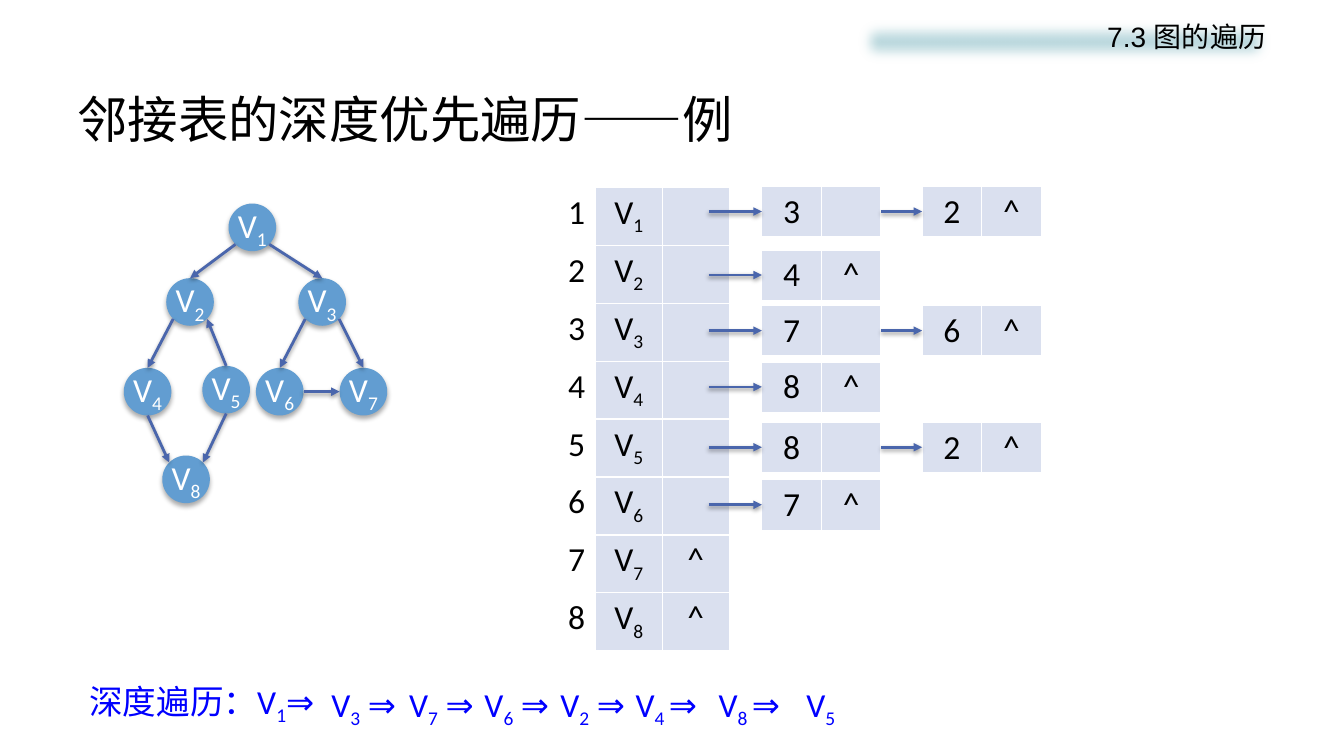
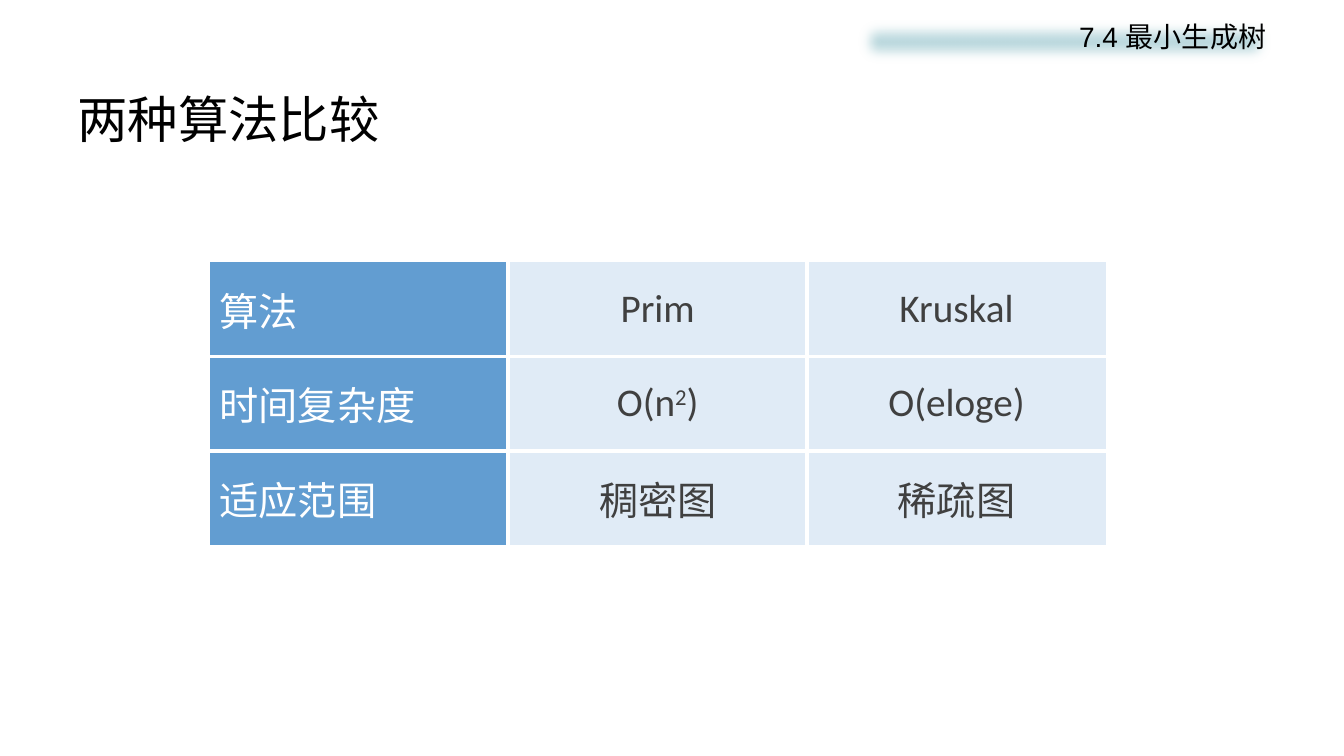
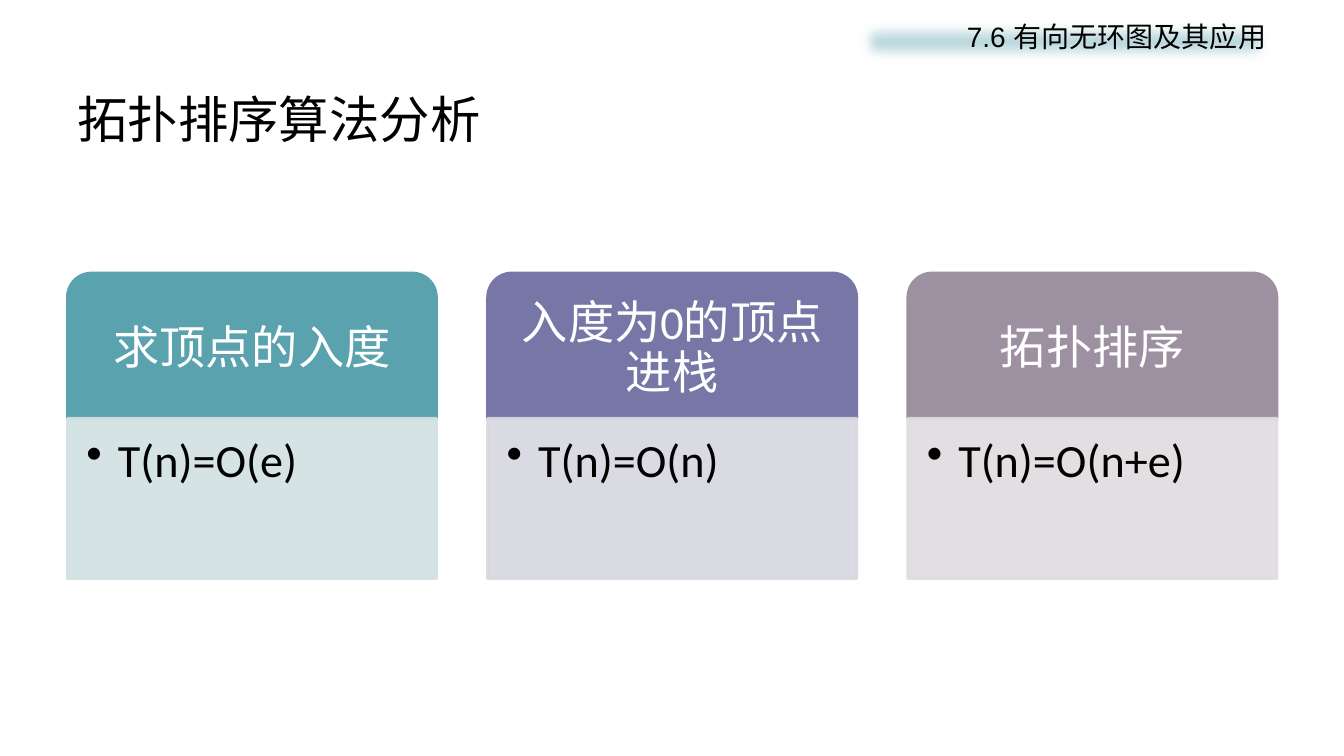
from pptx import Presentation
from pptx.dml.color import RGBColor
from pptx.enum.shapes import MSO_CONNECTOR, MSO_SHAPE
from pptx.enum.text import MSO_ANCHOR, PP_ALIGN
from pptx.oxml import parse_xml
from pptx.oxml.ns import nsdecls, qn
from pptx.util import Cm, Pt

BLACK = RGBColor(0x00, 0x00, 0x00)
WHITE = RGBColor(0xFF, 0xFF, 0xFF)
GREY = RGBColor(0x40, 0x40, 0x40)
BLUE = RGBColor(0x00, 0x00, 0xFF)
BAND = RGBColor(0xBD, 0xDA, 0xDF)
NODE = RGBColor(0x62, 0x9D, 0xD1)
ARROW = RGBColor(0x4A, 0x66, 0xAC)
LIST_CELL = RGBColor(0xDA, 0xE0, 0xEF)
COMPARE_CELL = RGBColor(0xE0, 0xEB, 0xF6)
TEAL = RGBColor(0x5A, 0xA2, 0xAE)
PALE_TEAL = RGBColor(0xD2, 0xE0, 0xE3)
VIOLET = RGBColor(0x76, 0x77, 0xA6)
PALE_VIOLET = RGBColor(0xD7, 0xD7, 0xE1)
MAUVE = RGBColor(0x9D, 0x90, 0xA0)
PALE_MAUVE = RGBColor(0xDF, 0xDB, 0xDF)

TITLE_FONT = "Noto Sans CJK SC"
BODY_FONT = "Calibri"
HEADER_FONT = "Arial"

SUBSCRIPT = -25000
SUPERSCRIPT = 30000

TOP = (0, -1)
BOTTOM = (0, 1)
LEFT = (-1, 0)
RIGHT = (1, 0)
UPPER_LEFT = (-0.71, -0.71)
UPPER_RIGHT = (0.71, -0.71)
LOWER_LEFT = (-0.71, 0.71)
LOWER_RIGHT = (0.71, 0.71)

RADIUS = 0.6
NODES = {
    1: (6.36, 5.73), 2: (4.79, 7.61), 3: (8.12, 7.61), 4: (3.72, 9.87),
    5: (5.7, 9.82), 6: (7.05, 9.87), 7: (9.16, 9.87), 8: (4.69, 12.08),
}
EDGES = [
    (1, LOWER_LEFT, 2, TOP), (2, LOWER_LEFT, 4, TOP), (5, TOP, 2, LOWER_RIGHT),
    (4, BOTTOM, 8, UPPER_LEFT), (5, BOTTOM, 8, UPPER_RIGHT),
    (1, LOWER_RIGHT, 3, TOP), (3, LOWER_LEFT, 6, TOP),
    (3, LOWER_RIGHT, 7, TOP), (6, RIGHT, 7, LEFT),
]
NEIGHBOURS = [(4.7, "32"), (6.3, "4"), (7.7, "76"),
              (9.12, "8"), (10.64, "82"), (12.09, "7")]
VISITS = [
    (8.1, "V|3| ⇒"), (10.06, "V|7| ⇒"), (11.96, "V|6| ⇒"), (13.87, "V|2| ⇒"),
    (15.77, "V|4 |⇒"), (17.86, "V|8 |⇒"), (20.07, "V|5"),
]
COMPARISON = [
    ("算法", "Prim", "Kruskal"),
    ("时间复杂度", "O(n|2|)", "O(eloge)"),
    ("适应范围", "稠密图", "稀疏图"),
]
STEPS = [
    ("求顶点的入度", "T(n)=O(e)", TEAL, PALE_TEAL),
    ("入度为0的顶点进栈", "T(n)=O(n)", VIOLET, PALE_VIOLET),
    ("拓扑排序", "T(n)=O(n+e)", MAUVE, PALE_MAUVE),
]


def write(para, text, size, color, font=BODY_FONT, align=PP_ALIGN.LEFT, shift=SUBSCRIPT):
    """Parts between bars are raised or lowered by shift."""
    para.alignment = align
    para.font.size = Pt(size)
    para.font.name = font
    para.font.color.rgb = color
    for index, part in enumerate(text.split("|")):
        if part:
            span = para.add_run()
            span.text = part
            if index % 2:
                span._r.get_or_add_rPr().set("baseline", str(shift))


def add_text(page, left, top, width, height, text, size, color,
             font=BODY_FONT, anchor=MSO_ANCHOR.TOP):
    box = page.shapes.add_textbox(Cm(left), Cm(top), Cm(width), Cm(height))
    frame = box.text_frame
    frame.word_wrap = True
    frame.vertical_anchor = anchor
    write(frame.paragraphs[0], text, size, color, font)


def add_block(page, kind, left, top, width, height, fill):
    block = page.shapes.add_shape(kind, Cm(left), Cm(top), Cm(width), Cm(height))
    block.shadow.inherit = False
    block.fill.solid()
    block.fill.fore_color.rgb = fill
    block.line.fill.background()
    block.text_frame.word_wrap = True
    return block


def set_effect(shape, effect):
    properties = shape._element.spPr
    for old in properties.findall(qn("a:effectLst")):
        properties.remove(old)
    properties.append(parse_xml(f'<a:effectLst {nsdecls("a")}>{effect}</a:effectLst>'))


def add_shadow(shape, blur, distance, alpha):
    set_effect(shape, f'<a:outerShdw blurRad="{Pt(blur)}" dist="{Pt(distance)}" '
                      f'dir="5400000" rotWithShape="0"><a:srgbClr val="{BLACK}">'
                      f'<a:alpha val="{alpha * 1000}"/></a:srgbClr></a:outerShdw>')


def add_arrow(page, start, end):
    arrow = page.shapes.add_connector(
        MSO_CONNECTOR.STRAIGHT, *(Cm(length) for length in (*start, *end)))
    arrow.line.color.rgb = ARROW
    arrow.line.width = Pt(2)
    outline = arrow._element.spPr.find(qn("a:ln"))
    outline.append(parse_xml(f'<a:tailEnd {nsdecls("a")} type="triangle"/>'))
    add_shadow(arrow, 3.1, 1.6, 38)


def add_grid(page, left, top, rows, columns, cell_width, cell_height):
    table = page.shapes.add_table(
        rows, columns, Cm(left), Cm(top),
        Cm(cell_width * columns), Cm(cell_height * rows)).table
    table.first_row = False
    table.horz_banding = False
    for column in table.columns:
        column.width = Cm(cell_width)
    for row in table.rows:
        row.height = Cm(cell_height)
    return table


def style_cell(cell, fill, width, sides="LRTB"):
    properties = cell._tc.get_or_add_tcPr()
    for side in "LRTB":
        paint = (f'<a:solidFill><a:srgbClr val="{WHITE}"/></a:solidFill>'
                 if side in sides else "<a:noFill/>")
        properties.append(parse_xml(
            f'<a:ln{side} {nsdecls("a")} w="{Pt(width)}">{paint}</a:ln{side}>'))
    if fill is None:
        cell.fill.background()
    else:
        cell.fill.solid()
        cell.fill.fore_color.rgb = fill


def add_list_cell(cell, text, fill=LIST_CELL, align=PP_ALIGN.CENTER):
    style_cell(cell, fill, 1)
    write(cell.text_frame.paragraphs[0], text, 24, BLACK, align=align)


def add_page(deck, title, section):
    page = deck.slides.add_slide(deck.slide_layouts[6])
    add_text(page, 1.7, 2.03, 30.48, 1.9, title, 36, BLACK, TITLE_FONT, MSO_ANCHOR.MIDDLE)
    band = add_block(page, MSO_SHAPE.RECTANGLE, 21.49, 0.36, 10.67, 1.37, BAND)
    set_effect(band, f'<a:softEdge rad="{Pt(10)}"/>')
    band.text_frame.vertical_anchor = MSO_ANCHOR.TOP
    write(band.text_frame.paragraphs[0], section, 20, BLACK, HEADER_FONT, PP_ALIGN.RIGHT)
    return page


def rim(number, direction):
    return [center + RADIUS * part for center, part in zip(NODES[number], direction)]


def add_graph(page):
    for number, (x, y) in NODES.items():
        node = add_block(page, MSO_SHAPE.OVAL, x - RADIUS, y - RADIUS,
                         2 * RADIUS, 2 * RADIUS, NODE)
        add_shadow(node, 3.5, 2.2, 32)
        node.text_frame.word_wrap = False
        node.text_frame.vertical_anchor = MSO_ANCHOR.MIDDLE
        write(node.text_frame.paragraphs[0], f"V|{number}", 24, WHITE,
              align=PP_ALIGN.CENTER)
    for source, leaving, target, entering in EDGES:
        add_arrow(page, rim(source, leaving), rim(target, entering))


def add_adjacency_list(page):
    heads = add_grid(page, 13.31, 4.72, len(NODES), 3, 1.69, 1.46)
    for row, number in enumerate(NODES):
        add_list_cell(heads.cell(row, 0), str(number), None, PP_ALIGN.RIGHT)
        add_list_cell(heads.cell(row, 1), f"V|{number}")
        add_list_cell(heads.cell(row, 2), "^" if row >= len(NEIGHBOURS) else "")
    for top, chain in NEIGHBOURS:
        tail = 17.86
        for index, number in enumerate(chain):
            left = 19.2 + 4.04 * index
            entry = add_grid(page, left, top, 1, 2, 1.5, 1.26)
            add_list_cell(entry.cell(0, 0), number)
            add_list_cell(entry.cell(0, 1), "^" if index == len(chain) - 1 else "")
            add_arrow(page, (tail, top + 0.63), (left, top + 0.63))
            tail = left + 3


def add_visit_order(page):
    add_text(page, 2, 17.1, 7.16, 1.27, "深度遍历：V|1|⇒", 24, BLUE,
             anchor=MSO_ANCHOR.MIDDLE)
    for left, text in VISITS:
        add_text(page, left, 17.1, 4.15, 1.27, text, 24, BLUE)


def add_comparison(page):
    table = add_grid(page, 5.28, 6.6, 3, 3, 7.53, 2.38)
    for row, texts in enumerate(COMPARISON):
        for column, text in enumerate(texts):
            cell = table.cell(row, column)
            sides = (("L" if column > 0 else "") + ("R" if column < 2 else "")
                     + ("T" if row > 0 else "") + ("B" if row < 2 else ""))
            label = column == 0
            style_cell(cell, NODE if label else COMPARE_CELL, 3, sides)
            cell.vertical_anchor = MSO_ANCHOR.MIDDLE
            write(cell.text_frame.paragraphs[0], text, 28, WHITE if label else GREY,
                  align=PP_ALIGN.LEFT if label else PP_ALIGN.CENTER, shift=SUPERSCRIPT)


def add_panel(page, kind, left, top, height, fill, anchor, margins):
    panel = add_block(page, kind, left, top, 9.3, height, fill)
    panel.line.color.rgb = fill
    panel.line.width = Pt(2)
    frame = panel.text_frame
    frame.vertical_anchor = anchor
    (frame.margin_left, frame.margin_top,
     frame.margin_right, frame.margin_bottom) = (Cm(margin) for margin in margins)
    para = frame.paragraphs[0]
    para.line_spacing = 0.9
    return panel, para


def add_step(page, left, heading, cost, strong, pale):
    _, para = add_panel(page, MSO_SHAPE.ROUND_2_SAME_RECTANGLE, left, 6.88, 3.66,
                        strong, MSO_ANCHOR.MIDDLE, (0.66, 0.38, 0.66, 0.38))
    write(para, heading, 33, WHITE, align=PP_ALIGN.CENTER)
    body, para = add_panel(page, MSO_SHAPE.RECTANGLE, left, 10.54, 4.04,
                           pale, MSO_ANCHOR.TOP, (0.48, 0.48, 0.66, 0.74))
    for color in body._element.spPr.iter(qn("a:srgbClr")):
        color.append(parse_xml(f'<a:alpha {nsdecls("a")} val="90000"/>'))
    properties = para._p.get_or_add_pPr()
    properties.set("marL", str(Cm(0.79)))
    properties.set("indent", str(Cm(-0.79)))
    properties.append(parse_xml(f'<a:buChar {nsdecls("a")} char="•"/>'))
    write(para, cost, 33, BLACK)


def main():
    deck = Presentation()
    deck.slide_width = Cm(33.87)
    deck.slide_height = Cm(19.05)

    page = add_page(deck, "邻接表的深度优先遍历——例", "7.3 图的遍历")
    add_graph(page)
    add_adjacency_list(page)
    add_visit_order(page)

    page = add_page(deck, "两种算法比较", "7.4 最小生成树")
    add_comparison(page)

    page = add_page(deck, "拓扑排序算法分析", "7.6 有向无环图及其应用")
    for index, step in enumerate(STEPS):
        add_step(page, 1.7 + 10.59 * index, *step)

    deck.save("out.pptx")


if __name__ == "__main__":
    main()
